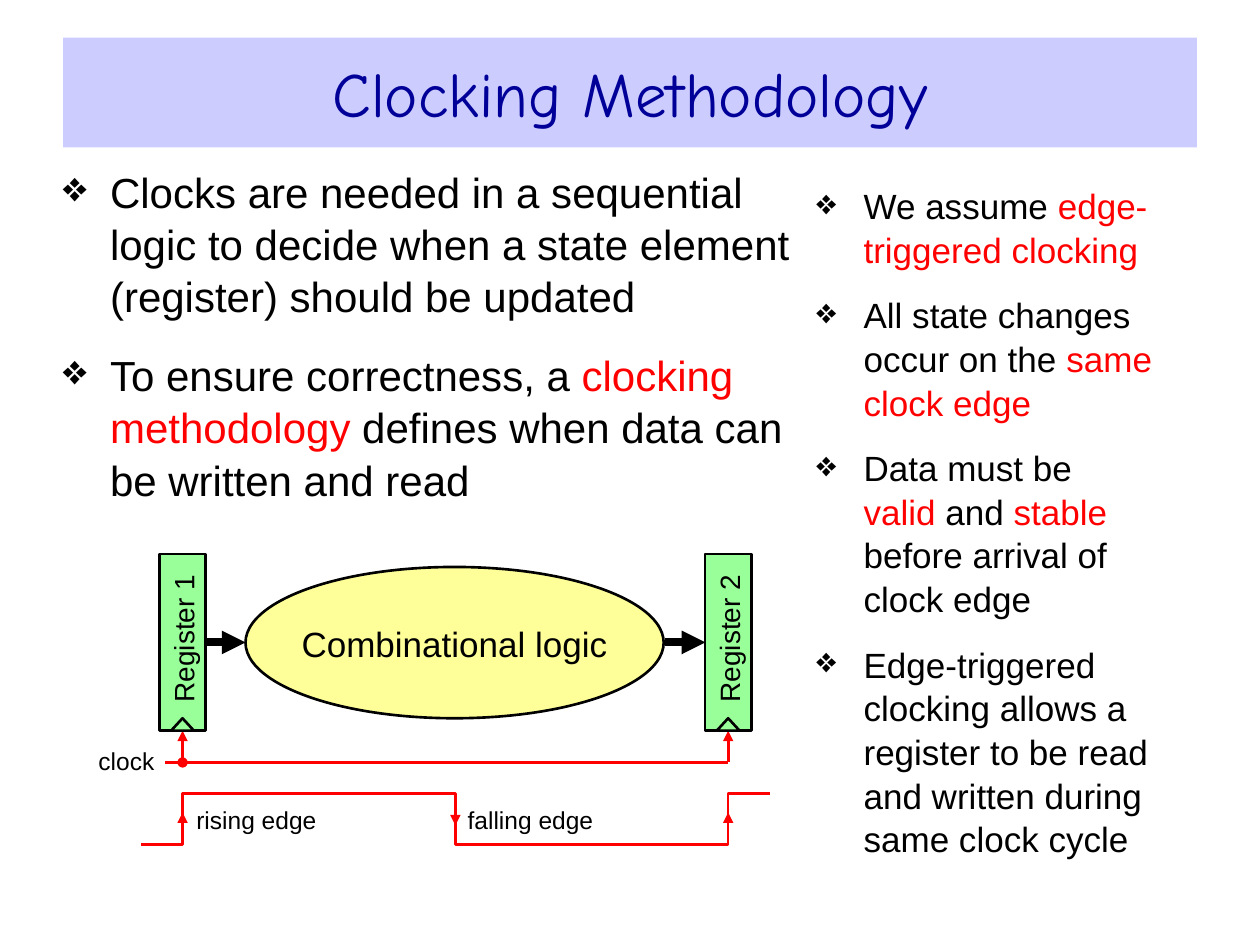
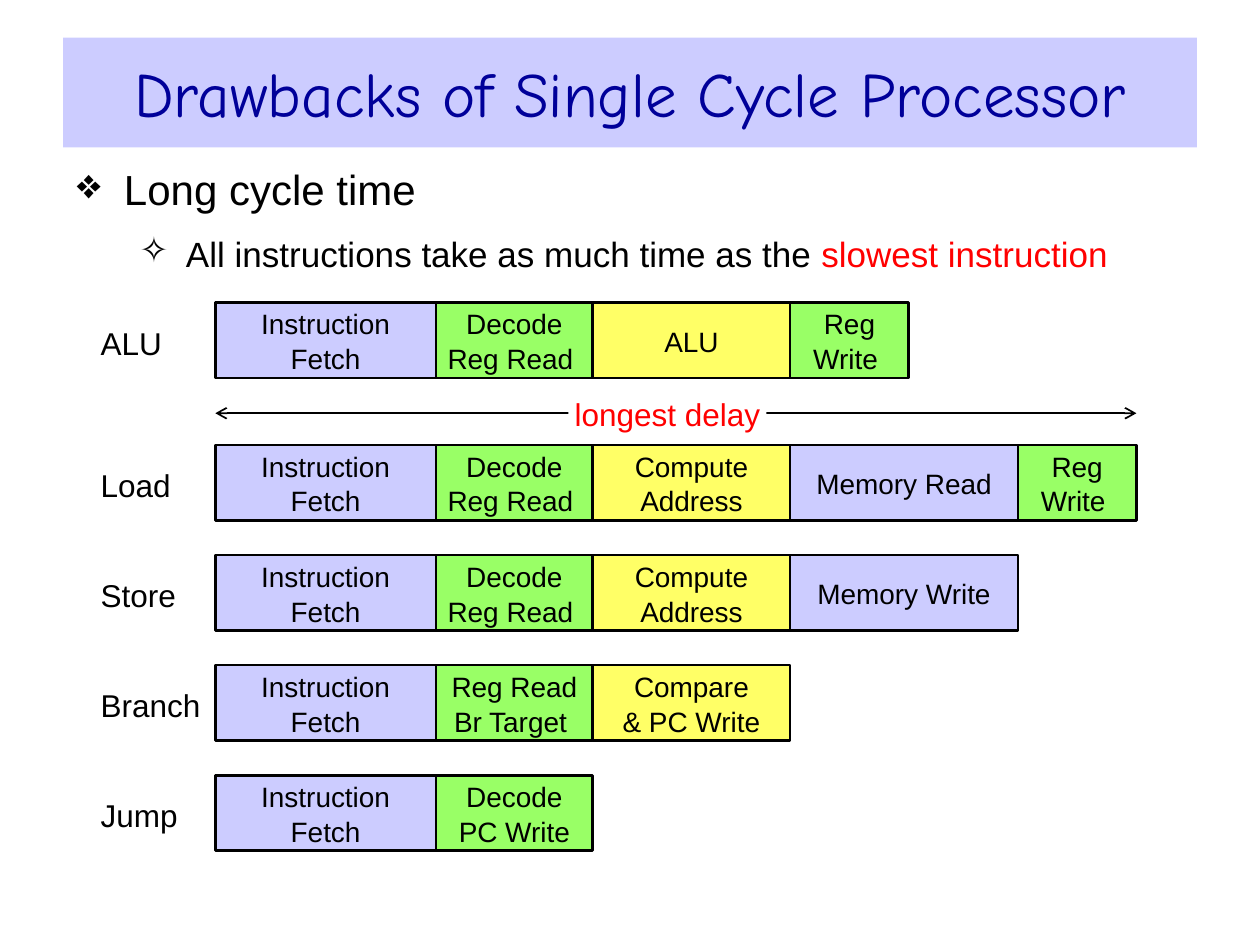
from lxml.etree import SubElement
from pptx import Presentation
from pptx.dml.color import RGBColor
from pptx.enum.shapes import MSO_CONNECTOR as Link, MSO_SHAPE as Kind
from pptx.enum.text import MSO_ANCHOR as Anchor, PP_ALIGN as Align
from pptx.oxml.ns import qn
from pptx.util import Cm, Pt

BLACK, WHITE, RED, NAVY = "000000", "FFFFFF", "FF0000", "000099"
LILAC, LIME, YELLOW = "CCCCFF", "99FF66", "FFFF66"
MINT, CREAM = "99FF99", "FFFF99"
FONT, TITLE_FONT = "Arial", "Comic Neue"
LEADING = 1.04


def color(code):
    return RGBColor.from_string(code)


def paint(shape, fill=None, line=None, width=1.5):
    shape.shadow.inherit = False
    if fill:
        shape.fill.solid()
        shape.fill.fore_color.rgb = color(fill)
    else:
        shape.fill.background()
    if line:
        shape.line.color.rgb = color(line)
        shape.line.width = Pt(width)
    else:
        shape.line.fill.background()


def add_run(para, text, size, ink=BLACK, font=FONT):
    run = para.add_run()
    run.text = text
    run.font.size = Pt(size)
    run.font.name = font
    run.font.color.rgb = color(ink)


def set_frame(shape, side=0, edge=0, anchor=Anchor.MIDDLE, wrap=True):
    frame = shape.text_frame
    frame.margin_left = frame.margin_right = Cm(side)
    frame.margin_top = frame.margin_bottom = Cm(edge)
    frame.vertical_anchor = anchor
    frame.word_wrap = wrap
    return frame


def write(shape, lines, size, ink=BLACK, align=Align.CENTER, wrap=True):
    frame = set_frame(shape, wrap=wrap)
    for i, text in enumerate(lines):
        para = frame.add_paragraph() if i else frame.paragraphs[0]
        para.alignment = align
        para.line_spacing = LEADING
        add_run(para, text, size, ink)


def add_box(slide, kind, x, y, w, h, fill, line=BLACK):
    shape = slide.shapes.add_shape(kind, Cm(x), Cm(y), Cm(w), Cm(h))
    paint(shape, fill, line)
    return shape


def add_label(slide, text, x, y, w, h, size, align=Align.CENTER, wrap=False):
    box = slide.shapes.add_textbox(Cm(x), Cm(y), Cm(w), Cm(h))
    write(box, [text], size, align=align, wrap=wrap)


def add_line(slide, start, end, ink, width=1.5, head=None, tail=None):
    link = slide.shapes.add_connector(
        Link.STRAIGHT, *(Cm(v) for v in (*start, *end)))
    link.line.color.rgb = color(ink)
    link.line.width = Pt(width)
    props = link._element.spPr
    for tag, tip in (("a:headEnd", head), ("a:tailEnd", tail)):
        if tip:
            SubElement(props.find(qn("a:ln")), qn(tag), type=tip)
    SubElement(props, qn("a:effectLst"))


def set_bullet(para, mark, left, hang):
    props = para._p.get_or_add_pPr()
    props.set("marL", str(Cm(left)))
    props.set("indent", str(-Cm(hang)))
    tint = SubElement(props, qn("a:buClr"))
    SubElement(tint, qn("a:srgbClr"), val=BLACK)
    SubElement(props, qn("a:buChar"), char=mark)


def add_list(slide, x, y, w, h, items, side=0):
    """Each item is (level, size, space before, runs); odd runs are red."""
    box = slide.shapes.add_textbox(Cm(x), Cm(y), Cm(w), Cm(h))
    frame = set_frame(box, side, 0.13, Anchor.TOP)
    for i, (level, size, space, runs) in enumerate(items):
        para = frame.add_paragraph() if i else frame.paragraphs[0]
        para.level = level
        set_bullet(para, *(("❖", 0.95, 0.95), ("✧", 2.2, 0.94))[level])
        para.line_spacing = LEADING
        para.space_before = Pt(space if i else 0)
        for j, text in enumerate(runs):
            add_run(para, text, size, RED if j % 2 else BLACK)


def add_slide(deck, text):
    slide = deck.slides.add_slide(deck.slide_layouts[5])
    title = slide.shapes.title
    title.left, title.top = Cm(1.27), Cm(0.76)
    title.width, title.height = Cm(22.86), Cm(2.21)
    title.fill.solid()
    title.fill.fore_color.rgb = color(LILAC)
    para = set_frame(title, 0.25, 0.13).paragraphs[0]
    para.alignment = Align.CENTER
    add_run(para, text, 36, NAVY, TITLE_FONT)
    return slide


def draw_clock(slide):
    regs = (3.68, 14.68)
    half = sum(regs) / 2
    bus, wire, foot = 12.95, 15.37, 14.73
    high, low = 16.0, 17.02

    # Logic between two registers
    logic = add_box(slide, Kind.OVAL, 4.95, 11.43, 8.43, 3.05, CREAM)
    write(logic, ["Combinational logic"], 20, wrap=False)
    for i, x in enumerate(regs):
        reg = add_box(slide, Kind.RECTANGLE, x - 1.78, bus - 0.47,
                      3.56, 0.94, MINT)
        reg.rotation = 270
        write(reg, [f" Register {i + 1}"], 16, wrap=False)
        add_line(slide, (x, wire), (x, foot), RED,
                 head=None if i else "oval", tail="triangle")
        add_box(slide, Kind.ISOSCELES_TRIANGLE, x - 0.23, foot - 0.25,
                0.46, 0.25, MINT)
    for x in (4.14, 13.41):
        add_line(slide, (x, bus), (x + 0.81, bus), BLACK, 4.5,
                 tail="triangle")
    add_line(slide, (regs[1], wire), (3.33, wire), RED)

    # Clock wave with its edges
    points = [(regs[0], low), (regs[0], high), (half, high), (half, low),
              (regs[1], low), (regs[1], high), (15.52, high)]
    path = slide.shapes.build_freeform(Cm(2.84), Cm(low))
    path.add_line_segments([(Cm(x), Cm(y)) for x, y in points], close=False)
    paint(path.convert_to_shape(), line=RED)
    for x, rise in ((regs[0], 0.13), (half, -0.13), (regs[1], 0.13)):
        mid = (high + low) / 2
        add_line(slide, (x, mid + rise), (x, mid - rise), RED, 1,
                 tail="triangle")
    add_label(slide, "clock", 1.8, 14.91, 1.5, 0.84, 14)
    add_label(slide, "rising edge", 3.94, 16.13, 2.46, 0.76, 14)
    add_label(slide, "falling edge", 9.3, 16.13, 2.79, 0.76, 14)


def draw_steps(slide):
    left, high = 4.34, 1.52
    widths = (4.45, 3.16, 3.98, 4.59, 2.39)
    fetch = ("Instruction\nFetch", widths[0], LILAC)
    read = ("Decode\nReg Read ", widths[1], LIME)
    count = ("Compute\nAddress", widths[2], YELLOW)
    save = ("Reg\nWrite ", widths[4], LIME)
    rows = [
        ("ALU", fetch, read, ("ALU", widths[2], YELLOW), save),
        ("Load", fetch, read, count, ("Memory Read", widths[3], LILAC), save),
        ("Store", fetch, read, count, ("Memory Write", widths[3], LILAC)),
        ("Branch", fetch, ("Reg Read\nBr Target ", widths[1], LIME),
         ("Compare\n& PC Write", widths[2], YELLOW)),
        ("Jump", fetch, ("Decode\nPC Write", widths[1], LIME)),
    ]

    # Span of the longest row
    add_line(slide, (left, 8.33), (left + sum(widths), 8.33), BLACK, 1,
             "arrow", "arrow")
    span = add_box(slide, Kind.RECTANGLE, 11.46, 8.03, 3.99, 0.61, WHITE, None)
    write(span, ["longest delay"], 18, RED)

    # One row of steps for each class
    for i, (name, *steps) in enumerate(rows):
        y = 8.97 + 2.22 * (i - 1) if i else 6.1
        add_label(slide, name, 2.03, y + 0.28, 2.31, 1.02, 18,
                  Align.LEFT, True)
        x = left
        for text, width, fill in steps:
            cell = add_box(slide, Kind.RECTANGLE, x, y, width, high, fill)
            write(cell, text.split("\n"), 16)
            x += width


def main():
    deck = Presentation()
    deck.slide_width, deck.slide_height = Cm(25.4), Cm(19.05)

    # Clocking
    slide = add_slide(deck, "Clocking Methodology")
    needs = [
        ["Clocks are needed in a sequential logic to decide when a state "
         "element (register) should be updated"],
        ["To ensure correctness, a ", "clocking methodology",
         " defines when data can be written and read"],
    ]
    rules = [
        ["We assume ", "edge-triggered clocking"],
        ["All state changes occur on the ", "same clock edge"],
        ["Data must be ", "valid", " and ", "stable",
         " before arrival of clock edge"],
        ["Edge-triggered clocking allows a register to be read and written "
         "during same clock cycle"],
    ]
    add_list(slide, 1.27, 3.18, 14.75, 7.34,
             [(0, 24, 15, runs) for runs in needs])
    draw_clock(slide)
    add_list(slide, 16.46, 3.56, 6.77, 12.7,
             [(0, 20, 12.5, runs) for runs in rules])

    # Drawbacks
    slide = add_slide(deck, "Drawbacks of Single Cycle Processor")
    add_list(slide, 1.3, 3.12, 22.86, 2.59, [
        (0, 24, 12, ["Long cycle time"]),
        (1, 20, 10, ["All instructions take as much time as the ",
                     "slowest instruction"]),
    ], 0.25)
    draw_steps(slide)

    deck.save("out.pptx")


if __name__ == "__main__":
    main()
